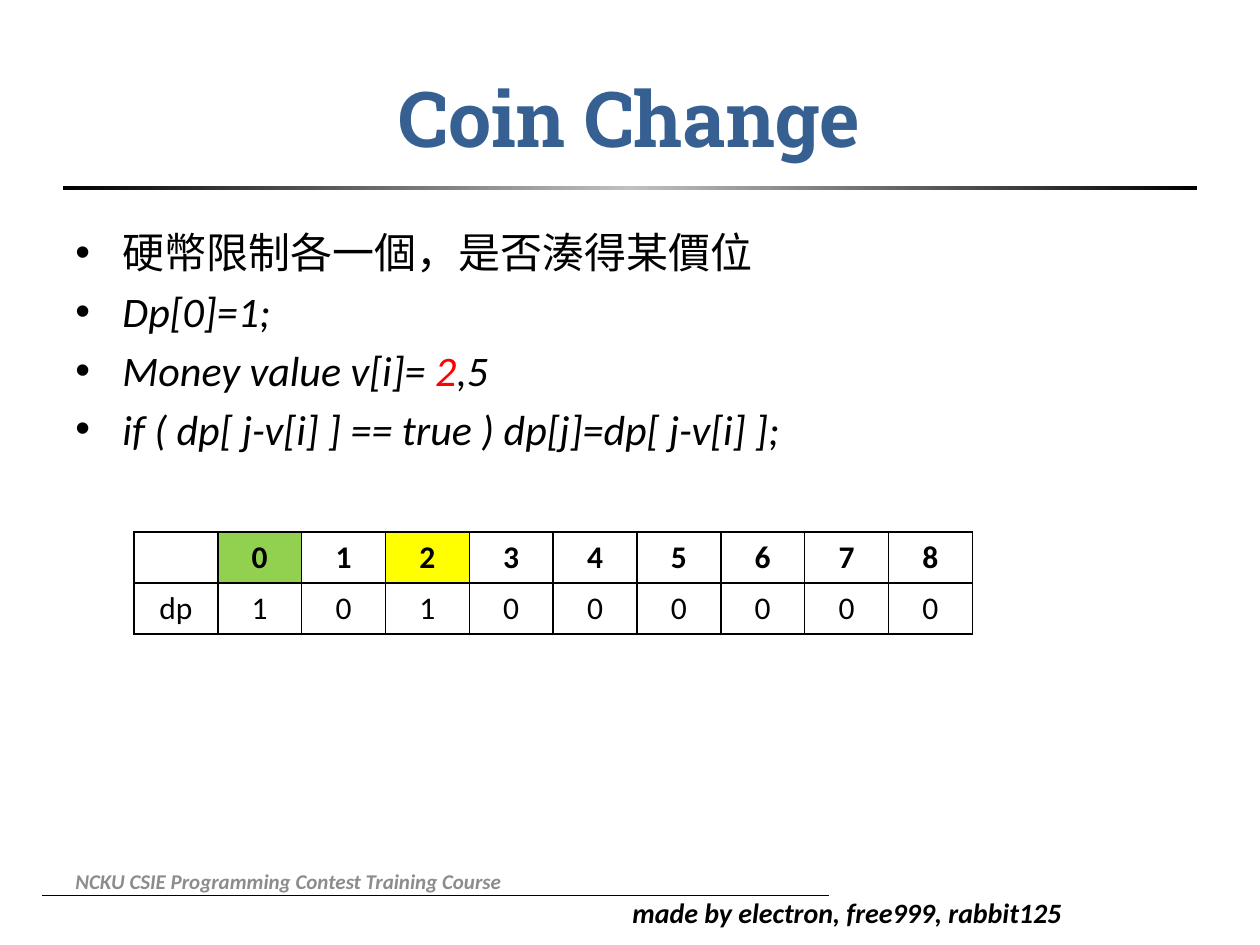
from copy import deepcopy

from lxml import etree
from pptx import Presentation
from pptx.dml.color import RGBColor
from pptx.enum.shapes import MSO_CONNECTOR, MSO_SHAPE
from pptx.enum.text import MSO_ANCHOR, PP_ALIGN
from pptx.oxml.ns import qn
from pptx.util import Cm, Pt

LINE = MSO_CONNECTOR.STRAIGHT
RECT = MSO_SHAPE.RECTANGLE
TOP, MIDDLE = MSO_ANCHOR.TOP, MSO_ANCHOR.MIDDLE
LEFT, CENTER = PP_ALIGN.LEFT, PP_ALIGN.CENTER
BLACK = RGBColor(0, 0, 0)
WHITE = RGBColor(255, 255, 255)
SILVER = RGBColor(0xC0, 0xC0, 0xC0)
GRAY = RGBColor(0x8C, 0x8C, 0x8C)
BLUE = RGBColor(0x37, 0x60, 0x92)
RED = RGBColor(255, 0, 0)
GREEN = RGBColor(0x92, 0xD0, 0x50)
YELLOW = RGBColor(255, 255, 0)


class Deck:
    """Holds the style and the current slide."""

    body = "Calibri"
    head = "Roboto Slab"

    def __init__(self):
        self.show = Presentation()
        self.show.slide_width, self.show.slide_height = Cm(25.4), Cm(19.05)
        self.slide = self.show.slides.add_slide(self.show.slide_layouts[6])

    def run(self, para, text, size, color=BLACK, bold=False, italic=False, face=body):
        run = para.add_run()
        run.text = text
        font = run.font
        font.name, font.size, font.bold, font.italic = face, Pt(size), bold, italic
        font.color.rgb = color

    def frame(self, x, y, w, h, anchor=TOP):
        box = self.slide.shapes.add_textbox(Cm(x), Cm(y), Cm(w), Cm(h))
        frame = box.text_frame
        frame.word_wrap = True
        frame.vertical_anchor = anchor
        return frame

    def label(self, place, text, size, anchor=TOP, align=LEFT, **style):
        para = self.frame(*place, anchor).paragraphs[0]
        para.alignment = align
        self.run(para, text, size, **style)

    def bullets(self, place, items, size):
        frame = self.frame(*place)
        for i, runs in enumerate(items):
            para = frame.add_paragraph() if i else frame.paragraphs[0]
            if i:
                para.space_before = Pt(size * 0.2)
            props = para._p.get_or_add_pPr()
            props.set("marL", str(Cm(0.95)))
            props.set("indent", str(-Cm(0.95)))
            etree.SubElement(props, qn("a:buFont"), typeface="Arial")
            etree.SubElement(props, qn("a:buChar"), char="•")
            for text, color in runs:
                self.run(para, text, size, color, italic=i > 0)

    def rule(self, x, y, end, width):
        line = self.slide.shapes.add_connector(LINE, Cm(x), Cm(y), Cm(end), Cm(y))
        line.line.color.rgb = BLACK
        line.line.width = Pt(width)
        etree.SubElement(line._element.spPr, qn("a:effectLst"))

    def bar(self, x, y, w, h, edge, core):
        bar = self.slide.shapes.add_shape(RECT, Cm(x), Cm(y), Cm(w), Cm(h))
        bar.shadow.inherit = False
        bar.line.fill.background()
        bar.fill.gradient()
        bar.fill.gradient_angle = 0
        for stop in bar.fill.gradient_stops:
            stop.color.rgb = edge
        first = bar._element.spPr.find(".//" + qn("a:gs"))
        first.addnext(deepcopy(first))
        mid = bar.fill.gradient_stops[1]
        mid.position = 0.5
        mid.color.rgb = core

    def border(self, cell, width):
        props = cell._tc.get_or_add_tcPr()
        for i, side in enumerate("LRTB"):
            edge = etree.Element(qn("a:ln" + side), w=str(Pt(width)))
            fill = etree.SubElement(edge, qn("a:solidFill"))
            etree.SubElement(fill, qn("a:srgbClr"), val=str(BLACK))
            props.insert(i, edge)

    def table(self, x, y, wide, high, rows, marks, size):
        count = len(rows[0])
        table = self.slide.shapes.add_table(
            len(rows), count, Cm(x), Cm(y), Cm(wide * count), Cm(high * len(rows))
        ).table
        table.first_row = table.horz_banding = False
        for col in table.columns:
            col.width = Cm(wide)
        for r, row in enumerate(rows):
            table.rows[r].height = Cm(high)
            for c, text in enumerate(row):
                cell = table.cell(r, c)
                cell.fill.solid()
                cell.fill.fore_color.rgb = marks.get((r, c), WHITE)
                self.border(cell, 1)
                para = cell.text_frame.paragraphs[0]
                para.alignment = CENTER
                if text:
                    self.run(para, text, size, bold=r == 0)


def main():
    deck = Deck()
    deck.rule(0.85, 18.06, 16.71, 0.5)
    deck.label((12.5, 17.93, 9.8, 0.94), "made by electron, free999, rabbit125", 16,
               bold=True, italic=True)
    deck.bar(1.27, 3.76, 22.86, 0.08, BLACK, SILVER)
    deck.label((1.27, 0.76, 22.86, 3.18), "Coin Change", 44, MIDDLE, CENTER,
               color=BLUE, bold=True, face=deck.head)
    deck.bullets((1.27, 4.45, 22.86, 12.57), [
        [("硬幣限制各一個，是否湊得某價位", BLACK)],
        [("Dp[0]=1;", BLACK)],
        [("Money value v[i]= ", BLACK), ("2", RED), (",5", BLACK)],
        [("if ( dp[ j-v[i] ] == true ) dp[j]=dp[ j-v[i] ];", BLACK)],
    ], 24)
    deck.label((1.27, 17.25, 12.83, 1.02), "NCKU CSIE Programming Contest Training Course",
               12, MIDDLE, color=GRAY, bold=True, italic=True)
    rows = [["", *"012345678"], ["dp", *"101000000"]]
    deck.table(2.7, 10.72, 1.69, 1.03, rows, {(0, 1): GREEN, (0, 3): YELLOW}, 18)
    deck.show.save("out.pptx")


if __name__ == "__main__":
    main()
